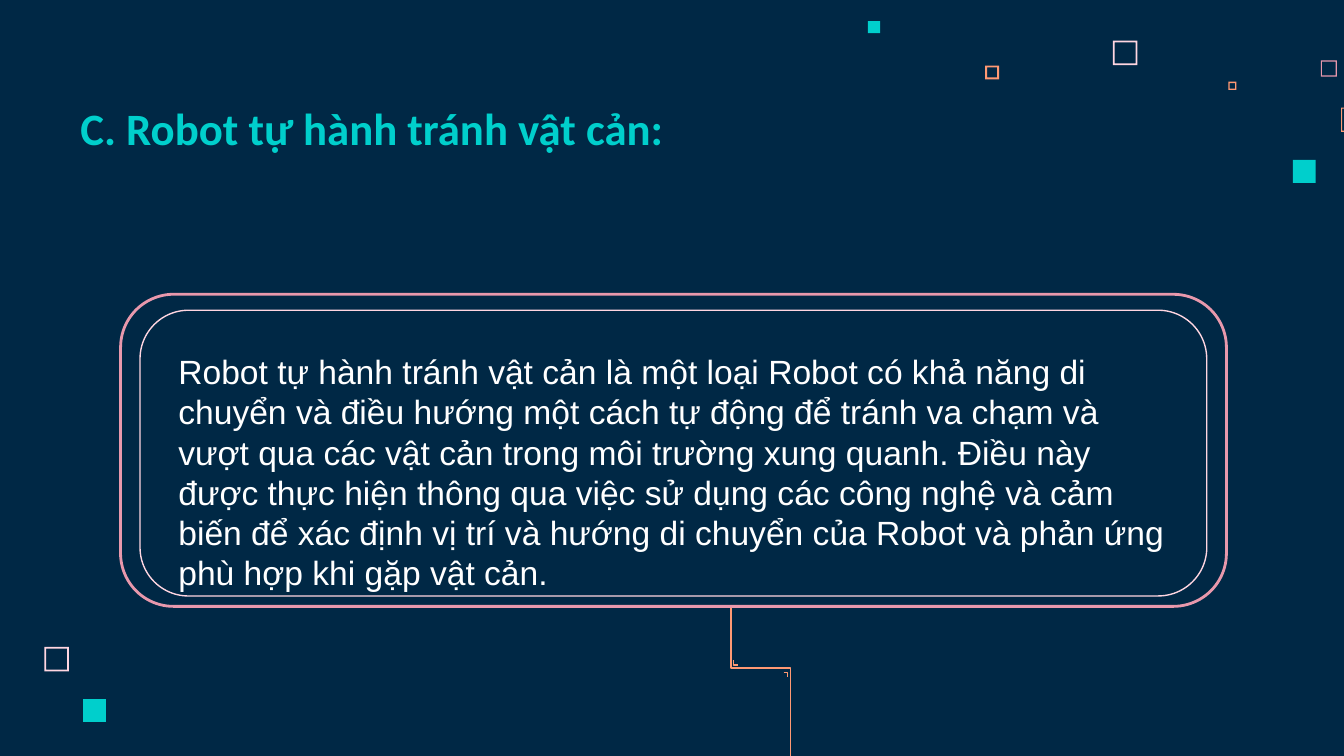
from dataclasses import dataclass
from pptx import Presentation, util as u
from pptx.dml.color import RGBColor
from pptx.enum import shapes, text


@dataclass(frozen=True)
class Theme:
    navy: str = "002845"
    teal: str = "00CFCC"
    blush: str = "FFD6E1"
    rose: str = "E898AC"
    coral: str = "FF9973"
    white: str = "FFFFFF"
    head: int = 24
    body: int = 18


class Deck:
    """Draws styled elements on the current slide."""

    def __init__(self, theme):
        self.theme = theme
        self.prs = Presentation()
        self.prs.slide_width, self.prs.slide_height = u.Pt(720), u.Pt(405)

    def page(self):
        self.slide = self.prs.slides.add_slide(self.prs.slide_layouts[6])
        fill = self.slide.background.fill
        fill.solid()
        fill.fore_color.rgb = RGBColor.from_string(self.theme.navy)

    def shape(self, kind, box):
        item = self.slide.shapes.add_shape(kind, *map(u.Pt, box))
        item.shadow.inherit = False
        return item

    def square(self, left, top, size, color, rim=0):
        kind = shapes.MSO_SHAPE.FRAME if rim else shapes.MSO_SHAPE.RECTANGLE
        item = self.shape(kind, (left, top, size, size))
        if rim:
            item.adjustments[0] = rim / size
        item.fill.solid()
        item.fill.fore_color.rgb = RGBColor.from_string(color)
        item.line.fill.background()

    def stroke(self, item, color, width):
        item.fill.background()
        item.line.color.rgb = RGBColor.from_string(color)
        item.line.width = u.Pt(width)

    def card(self, box, color, width):
        item = self.shape(shapes.MSO_SHAPE.ROUNDED_RECTANGLE, box)
        item.adjustments[0] = 0.17
        self.stroke(item, color, width)

    def wire(self, points, color):
        start, *rest = [(u.Pt(x), u.Pt(y)) for x, y in points]
        pen = self.slide.shapes.build_freeform(*start)
        pen.add_line_segments(rest, close=False)
        item = pen.convert_to_shape()
        item.shadow.inherit = False
        self.stroke(item, color, 0.75)

    def label(self, box, words, face, size, color, bold=False, middle=False):
        frame = self.slide.shapes.add_textbox(*map(u.Pt, box)).text_frame
        frame.word_wrap = True
        if middle:
            frame.vertical_anchor = text.MSO_ANCHOR.MIDDLE
            frame.margin_top = frame.margin_bottom = u.Pt(7.2)
        para = frame.paragraphs[0]
        para.text = words
        font = para.font
        font.name, font.size, font.bold = face, u.Pt(size), bold
        font.color.rgb = RGBColor.from_string(color)


def main():
    look = Theme()
    deck = Deck(look)
    deck.page()
    for square in (
        (596.2, 21.8, 13.1, look.blush, 0.9),
        (707.6, 32.4, 8.6, look.rose, 0.6),
        (658, 43.8, 4.4, look.coral, 0.7),
        (718.4, 57.6, 13, look.coral, 0.6),
        (692.6, 85.7, 12.3, look.teal),
        (527.8, 35.1, 7.4, look.coral, 1),
        (465, 11.3, 6.5, look.teal),
        (23.8, 346.6, 13.1, look.blush, 0.9),
        (44.5, 374.5, 12.3, look.teal),
    ):
        deck.square(*square)
    deck.card((64.6, 157.7, 592.4, 167.2), look.rose, 1.5)
    deck.card((75, 166.2, 571.5, 153.1), look.blush, 0.75)
    for points in (
        ((391.7, 325.5), (391.7, 357.8), (423.4, 357.8), (423.4, 427)),
        ((419.8, 360.2), (422, 360.2), (422, 362.9)),
        ((393.1, 353.5), (393.1, 356.2), (395.3, 356.2)),
    ):
        deck.wire(points, look.coral)
    deck.label(
        (88.5, 184.4, 544.3, 116.6),
        "Robot tự hành tránh vật cản là một loại Robot có khả năng di chuyển "
        "và điều hướng một cách tự động để tránh va chạm và vượt qua các vật "
        "cản trong môi trường xung quanh. Điều này được thực hiện thông qua "
        "việc sử dụng các công nghệ và cảm biến để xác định vị trí và hướng "
        "di chuyển của Robot và phản ứng phù hợp khi gặp vật cản.",
        "Arial", look.body, look.white)
    deck.label((36, 45.4, 437.8, 46.1), "C. Robot tự hành tránh vật cản:",
               "Calibri", look.head, look.teal, bold=True, middle=True)
    deck.prs.save("out.pptx")


if __name__ == "__main__":
    main()
